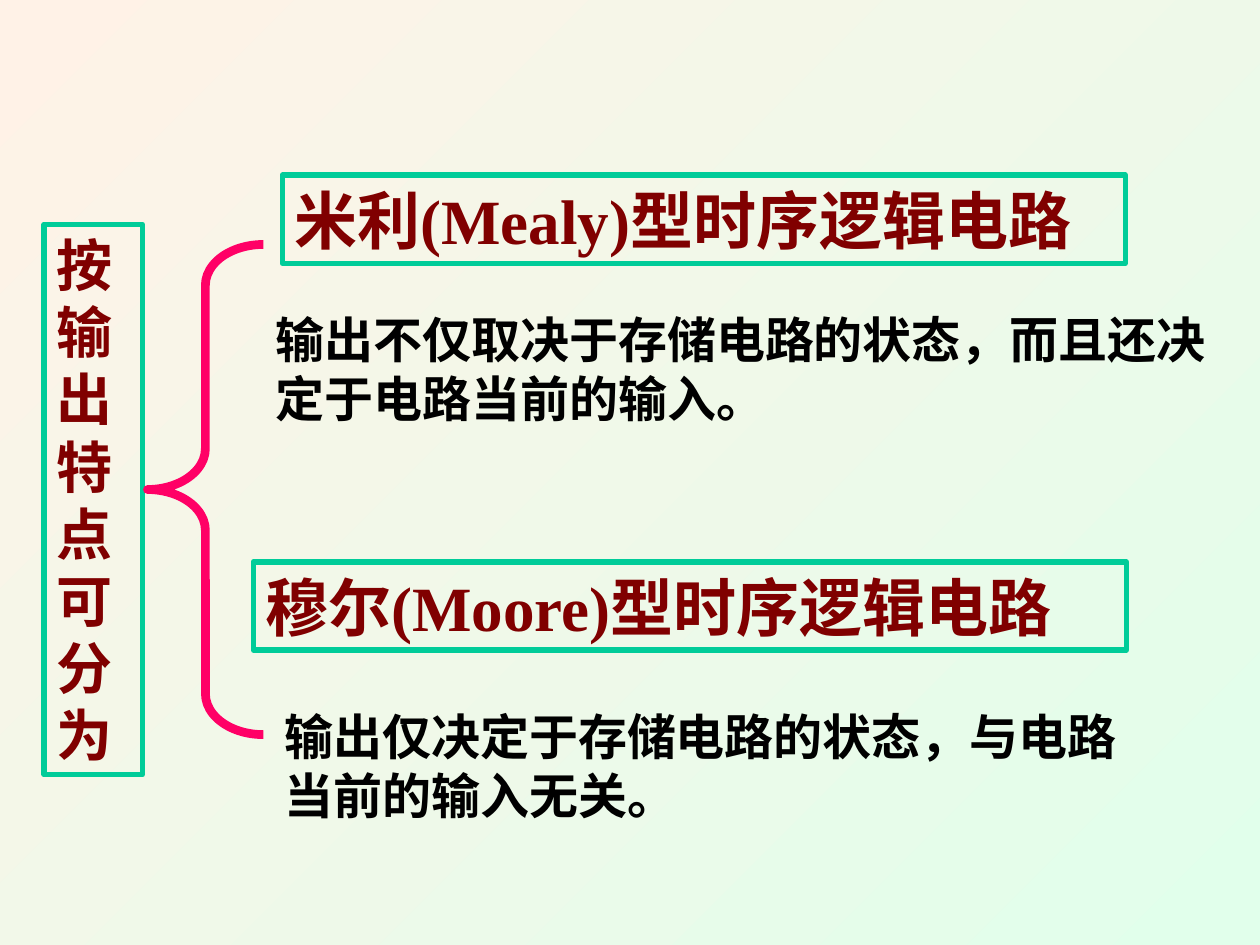
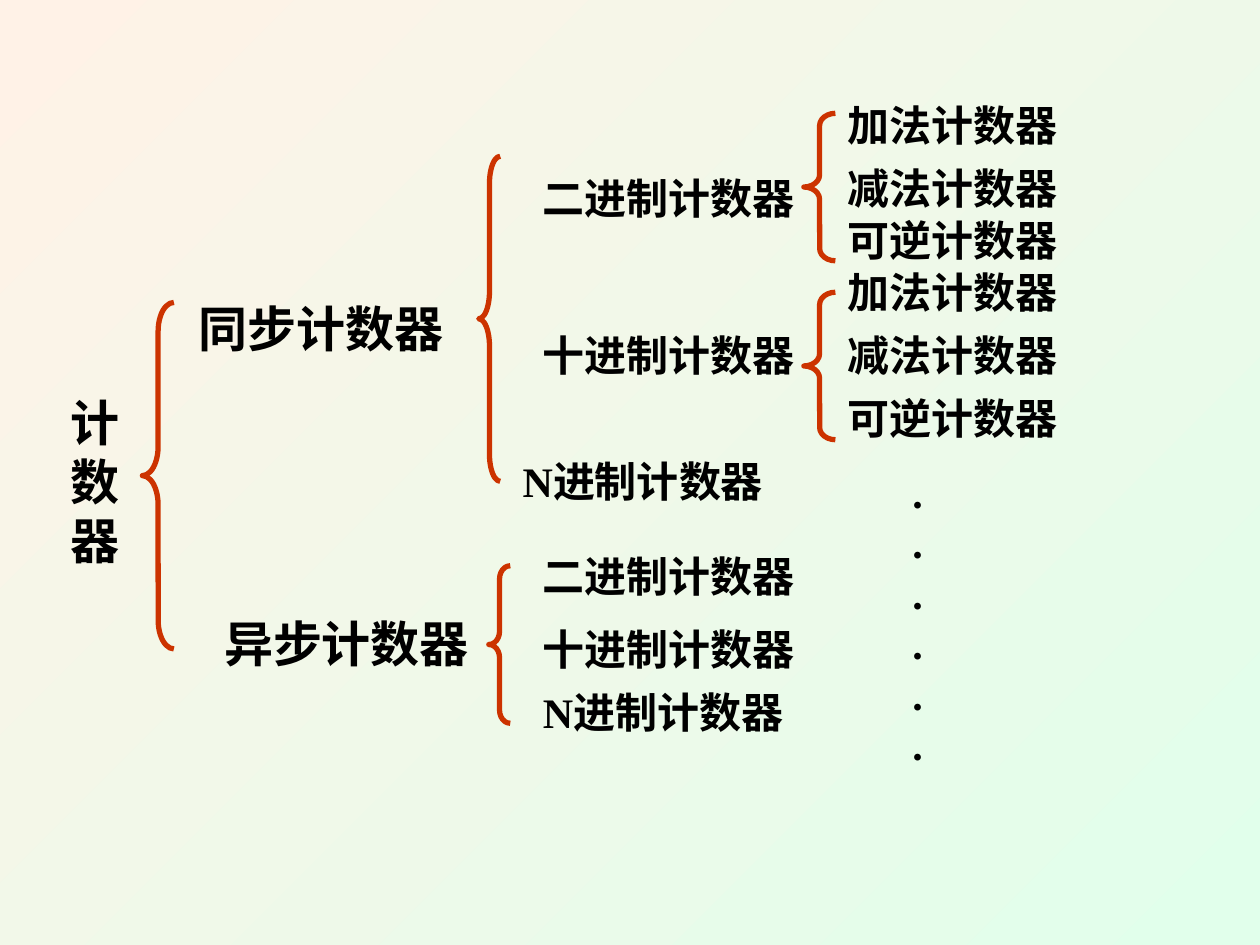
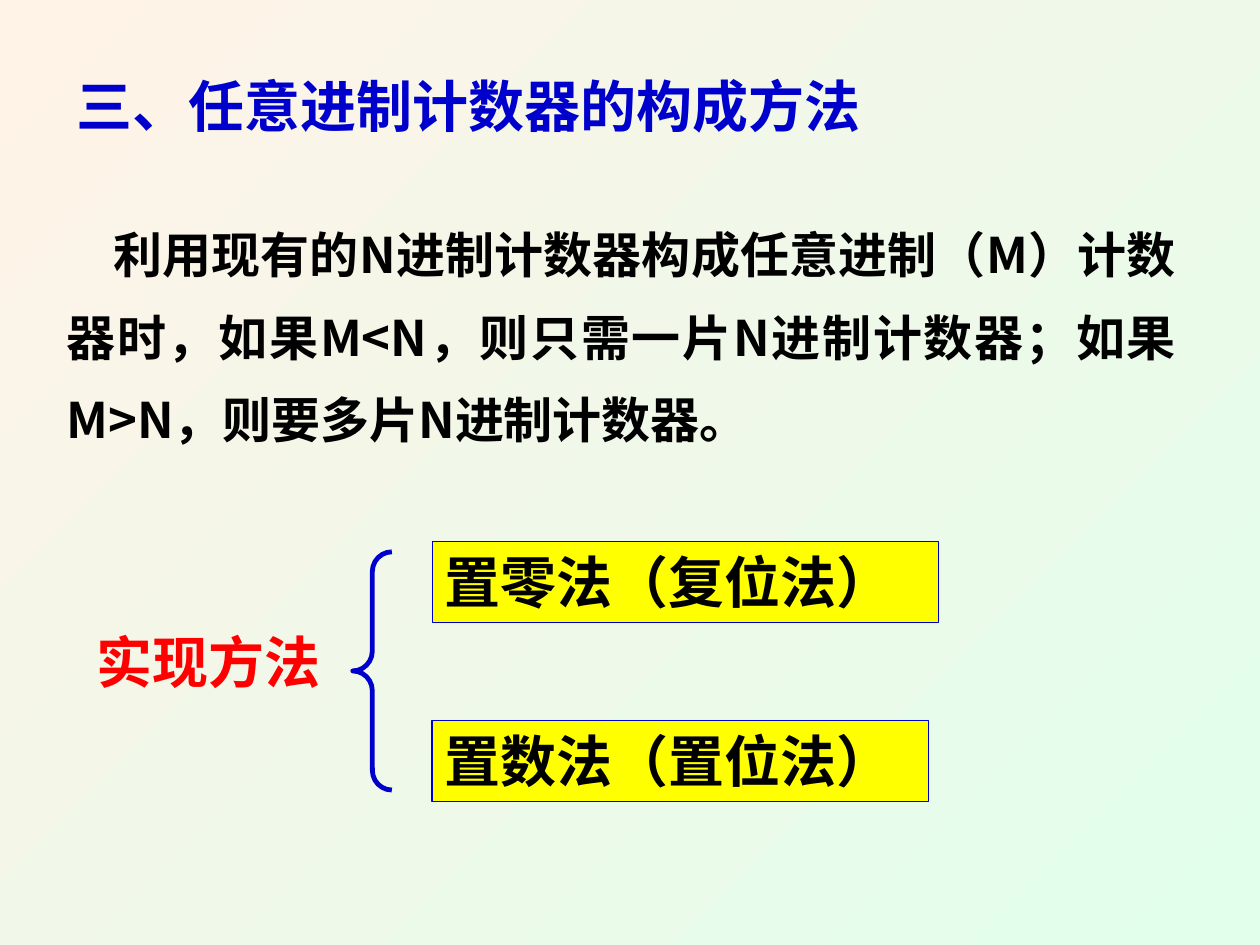
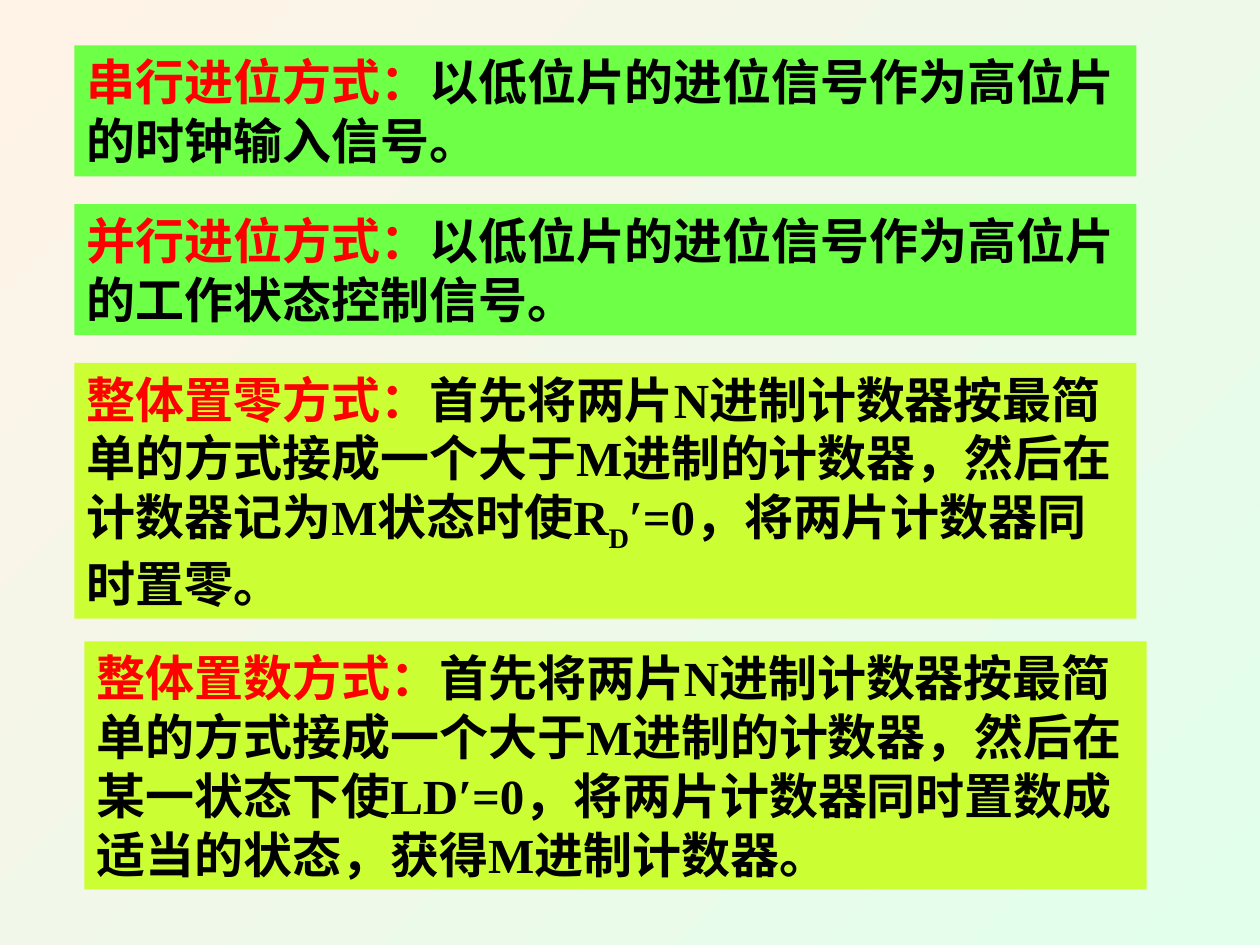
"""Four slides on sequential logic circuits and counters."""
import pptx
import pptx.util
import pptx.dml.color
import pptx.enum.shapes
import pptx.enum.text
import pptx.oxml.ns
import lxml.etree

HUES = {
    "mint": "E1FFEB", "cream": "FFF2E7", "black": "000000", "red": "FF0000",
    "blue": "0000CC", "maroon": "800000", "teal": "00CC99", "pink": "FF0066",
    "rust": "CC3300", "yellow": "FFFF00", "green": "6EFF47", "lime": "CCFF33",
}
SERIF = "Times New Roman"
SANS = "Noto Sans CJK SC"
SHAPE = pptx.enum.shapes.MSO_SHAPE
ALIGN = pptx.enum.text.PP_ALIGN


def hue(name):
    return pptx.dml.color.RGBColor.from_string(HUES[name])


def write(para, text, size=28, color="black", font=SERIF, base=0):
    run = para.add_run()
    run.text = text
    run.font.size = pptx.util.Pt(size)
    run.font.bold = True
    run.font.color.rgb = hue(color)
    run.font.name = font
    props = run.font._element
    props.set("lang", "zh-CN")
    if base:
        props.set("baseline", str(base * 1000))
    east = lxml.etree.SubElement(props, pptx.oxml.ns.qn("a:ea"))
    east.set("typeface", SANS)


class Deck:
    COLS, ROWS = 100, 75

    def __init__(self):
        self.show = pptx.Presentation()
        self.show.slide_width = pptx.util.Inches(10)
        self.show.slide_height = pptx.util.Inches(7.5)
        self.page = None
        fill = self.show.slide_master.background.fill
        fill.gradient()
        fill.gradient_angle = 135
        for stop, name in zip(fill.gradient_stops, ("mint", "cream")):
            stop.color.rgb = hue(name)

    def new(self):
        self.page = self.show.slides.add_slide(self.show.slide_layouts[6])

    def place(self, left, top, wide, high):
        col = self.show.slide_width / self.COLS
        row = self.show.slide_height / self.ROWS
        return [round(n * unit) for n, unit in
                ((left, col), (top, row), (wide, col), (high, row))]

    def fill_text(self, shape, parts, align=ALIGN.LEFT, space=None, indent=0, **form):
        frame = shape.text_frame
        frame.word_wrap = True
        frame.auto_size = pptx.enum.text.MSO_AUTO_SIZE.SHAPE_TO_FIT_TEXT
        frame.vertical_anchor = pptx.enum.text.MSO_ANCHOR.TOP
        para = frame.paragraphs[0]
        para.alignment = align
        para.line_spacing = space
        if indent:
            inch = pptx.util.Inches(indent)
            para._p.get_or_add_pPr().set("indent", str(int(inch)))
        if isinstance(parts, str):
            parts = [(parts, {})]
        for text, more in parts:
            write(para, text, **{**form, **more})

    def label(self, spot, parts, **form):
        shape = self.page.shapes.add_textbox(*self.place(*spot))
        self.fill_text(shape, parts, **form)

    def draw(self, kind, spot, fill, line, width):
        shape = self.page.shapes.add_shape(kind, *self.place(*spot))
        shape.shadow.inherit = False
        if fill:
            shape.fill.solid()
            shape.fill.fore_color.rgb = hue(fill)
        else:
            shape.fill.background()
        if line:
            shape.line.color.rgb = hue(line)
            shape.line.width = pptx.util.Pt(width)
        else:
            shape.line.fill.background()
        return shape

    def box(self, spot, parts, fill=None, line=None, width=3, **form):
        shape = self.draw(SHAPE.RECTANGLE, spot, fill, line, width)
        self.fill_text(shape, parts, **form)

    def brace(self, spot, line, width=3):
        shape = self.draw(SHAPE.LEFT_BRACE, spot, None, line, width)
        shape.adjustments[0] = spot[3] / spot[2] / 12


def types(deck):
    deck.new()
    style = {"line": "teal", "color": "maroon"}
    deck.box((3.5, 17.8, 7.8, 43.7), "按输出特点可分为", size=32, **style)
    deck.brace((11.7, 19.4, 9.2, 38.9), "pink", 5)
    deck.box((22.4, 13.9, 66.9, 7), "米利(Mealy)型时序逻辑电路", size=36, **style)
    deck.box((20.1, 44.6, 69.3, 7), "穆尔(Moore)型时序逻辑电路", size=36, **style)
    deck.label((20.9, 24.1, 75.8, 10.4),
               "输出不仅取决于存储电路的状态，而且还决定于电路当前的输入。")
    deck.label((21.6, 55.6, 71.8, 10.4),
               "输出仅决定于存储电路的状态，与电路当前的输入无关。")


def tree(deck):
    deck.new()
    deck.label((4.6, 30.7, 5.8, 15), "计数器")
    deck.label((13, 23.2, 25, 5.7), "同步计数器", align=ALIGN.CENTER)
    deck.label((14.6, 48.2, 25.8, 5.7), "异步计数器", align=ALIGN.CENTER)
    bases = ("二", "十", "N")
    spots = ((42.1, 13.2), (42.1, 25.7), (40.5, 35.7),
             (42.1, 43.2), (42.1, 49), (42.1, 54))
    for (left, top), base in zip(spots, bases * 2):
        deck.label((left, top, 22.5, 5), base + "进制计数器", size=24)
    modes = ("加法", "减法", "可逆")
    for top, mode in zip((7.4, 12.4, 16.5, 20.7, 25.7, 30.7), modes * 2):
        deck.label((66.3, top, 20, 5), mode + "计数器", size=24)
    for spot in ((11.3, 24, 2.5, 27.5), (38, 12.4, 1.7, 25.8),
                 (38.8, 44.9, 1.7, 12.5), (63.8, 9, 2.5, 11.7),
                 (63.8, 23.2, 2.5, 11.7)):
        deck.brace(spot, "rust")
    deck.label((71.3, 37.4, 3.3, 25), "······", size=24)


def build(deck):
    deck.new()
    deck.label((5.1, 5.2, 85, 6.4), "三、任意进制计数器的构成方法", size=32, color="blue")
    deck.label((4.3, 15.5, 90, 20.6),
               "利用现有的N进制计数器构成任意进制（M）计数器时，如果M<N，"
               "则只需一片N进制计数器；如果M>N，则要多片N进制计数器。",
               font=SANS, align=ALIGN.JUSTIFY, space=1.4, indent=0.37)
    deck.label((6.7, 49.3, 25.2, 6.4), "实现方法", size=32, color="red")
    deck.brace((28, 43.8, 3.1, 18.9), "blue", 2.75)
    for top, wide, text in ((43, 40.2, "置零法（复位法）"), (57.2, 39.4, "置数法（置位法）")):
        deck.box((34.3, top, wide, 6.4), text, fill="yellow", line="blue",
                 width=0.75, size=32)


def modes(deck):
    deck.new()
    start = "首先将两片N进制计数器按最简单的方式接成一个大于M进制的计数器，然后在"
    carry = "以低位片的进位信号作为高位片的"
    rows = (
        (5.9, 3.6, 10.4, "green", "串行进位", [(carry + "时钟输入信号。", {})]),
        (5.9, 16.2, 10.4, "green", "并行进位", [(carry + "工作状态控制信号。", {})]),
        (5.9, 28.8, 20.3, "lime", "整体置零",
         [(start + "计数器记为M状态时使R", {}), ("D", {"base": -25}),
          ("′=0，将两片计数器同时置零。", {})]),
        (6.7, 50.9, 19.7, "lime", "整体置数",
         [(start + "某一状态下使LD′=0，将两片计数器同时置数成适当的状态，"
           "获得M进制计数器。", {})]),
    )
    for left, top, high, fill, name, rest in rows:
        head = (name + "方式：", {"color": "red"})
        deck.box((left, top, 84.3, high), [head] + rest, fill=fill)


def main():
    deck = Deck()
    for make in (types, tree, build, modes):
        make(deck)
    deck.show.save("out.pptx")


if __name__ == "__main__":
    main()
